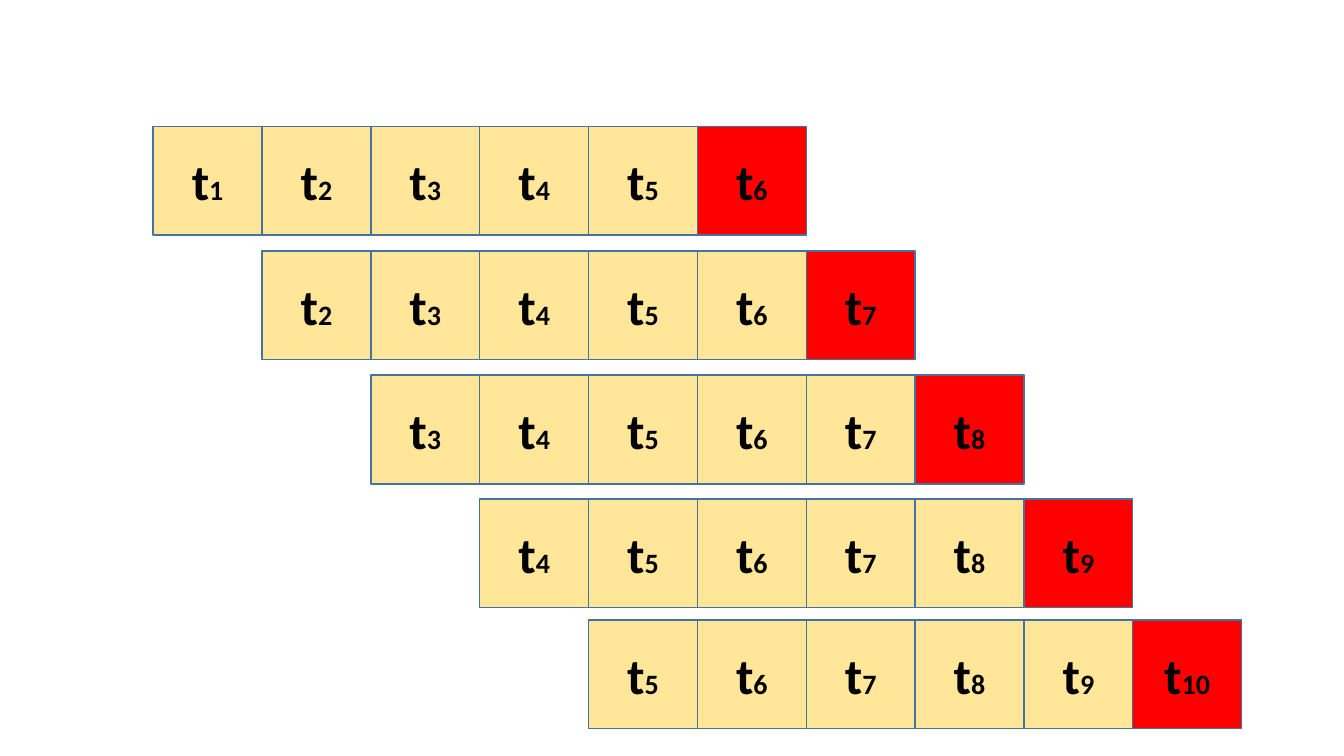
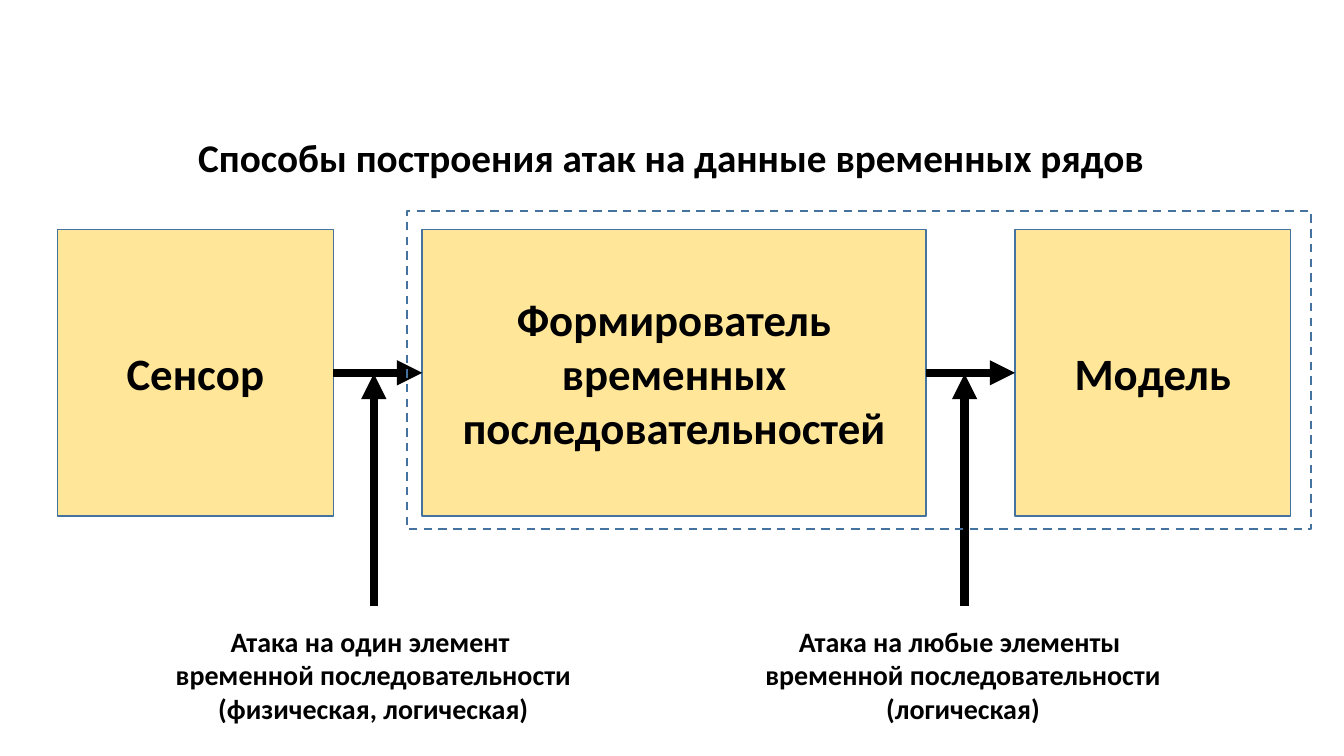
from pptx import Presentation
from pptx.dml.color import RGBColor
from pptx.enum.dml import MSO_LINE
from pptx.enum.shapes import MSO_CONNECTOR, MSO_SHAPE
from pptx.enum.text import MSO_ANCHOR, MSO_AUTO_SIZE, PP_ALIGN
from pptx.oxml.ns import qn
from pptx.util import Cm, Pt
from lxml.etree import SubElement

FONT = "Calibri"
COLORS = {"cell": "FFE699", "target": "FF0000", "outline": "43739E", "ink": "000000"}
TITLE_ONLY, BLANK = 5, 6
RIGHT_SIDE, LEFT_SIDE = 3, 1

# Sliding windows, in centimetres
WINDOW_TOPS = [3.18, 6.32, 9.45, 12.57, 15.62]
WINDOW_LEFT, CELL, WINDOW_LENGTH = 3.86, 2.743, 6

# Attack scheme, in centimetres
STAGE_TOP, STAGE_HEIGHT = 5.79, 7.21
ATTACK_START, ATTACK_END = 15.27, 9.42
CAPTION_TOP, CAPTION_WIDTH, CAPTION_HEIGHT = 15.6, 10.54, 2.82


def color(name):
    return RGBColor.from_string(COLORS[name])


def style_run(run, size):
    run.font.name = FONT
    run.font.size = Pt(size)
    run.font.bold = True
    run.font.color.rgb = color("ink")


def write(shape, text, size, anchor=MSO_ANCHOR.MIDDLE, wrap=True):
    """Centred bold text; a vertical tab breaks a line inside a paragraph."""
    frame = shape.text_frame
    frame.text = text
    frame.word_wrap = wrap
    frame.auto_size = MSO_AUTO_SIZE.NONE
    frame.vertical_anchor = anchor
    for paragraph in frame.paragraphs:
        paragraph.alignment = PP_ALIGN.CENTER
        for run in paragraph.runs:
            style_run(run, size)


def add_box(shapes, left, top, width, height, fill=None, line_width=1):
    box = shapes.add_shape(MSO_SHAPE.RECTANGLE, Cm(left), Cm(top), Cm(width), Cm(height))
    box.shadow.inherit = False
    if fill:
        box.fill.solid()
        box.fill.fore_color.rgb = color(fill)
    else:
        box.fill.background()
    box.line.color.rgb = color("outline")
    box.line.width = Pt(line_width)
    return box


def add_time_cell(shapes, left, top, step, fill):
    cell = add_box(shapes, left, top, CELL, CELL, fill)
    write(cell, "t", 36)
    index = cell.text_frame.paragraphs[0].add_run()
    index.text = str(step)
    style_run(index, 20)


def add_window(slide, first, top):
    """One window of consecutive steps; its last step is the target."""
    window = slide.shapes.add_group_shape()
    last = first + WINDOW_LENGTH - 1
    for step in range(first, last + 1):
        fill = "target" if step == last else "cell"
        add_time_cell(window.shapes, WINDOW_LEFT + (step - 1) * CELL, top, step, fill)


def add_stage(slide, text, left, width):
    stage = add_box(slide.shapes, left, STAGE_TOP, width, STAGE_HEIGHT, "cell")
    write(stage, text, 32)
    return stage


def add_arrow(slide, x1=0, y1=0, x2=0, y2=0):
    arrow = slide.shapes.add_connector(
        MSO_CONNECTOR.STRAIGHT, Cm(x1), Cm(y1), Cm(x2), Cm(y2))
    arrow.line.color.rgb = color("ink")
    arrow.line.width = Pt(6)
    properties = arrow.element.spPr
    SubElement(properties.find(qn("a:ln")), qn("a:tailEnd"), type="triangle")
    SubElement(properties, qn("a:effectLst"))
    return arrow


def join(slide, source, target):
    arrow = add_arrow(slide)
    arrow.begin_connect(source, RIGHT_SIDE)
    arrow.end_connect(target, LEFT_SIDE)


def add_attack(slide, arrow_x, caption_left, text):
    add_arrow(slide, arrow_x, ATTACK_START, arrow_x, ATTACK_END)
    caption = slide.shapes.add_textbox(
        Cm(caption_left), Cm(CAPTION_TOP), Cm(CAPTION_WIDTH), Cm(CAPTION_HEIGHT))
    write(caption, text, 20, MSO_ANCHOR.TOP, wrap=False)


def set_title(slide, text):
    title = slide.shapes.title
    title.left, title.top = Cm(4.6), Cm(3.23)
    title.width, title.height = Cm(24.61), Cm(1.45)
    write(title, text, 28, wrap=False)


def build_windows(prs):
    slide = prs.slides.add_slide(prs.slide_layouts[BLANK])
    for first, top in enumerate(WINDOW_TOPS, start=1):
        add_window(slide, first, top)


def build_attacks(prs):
    slide = prs.slides.add_slide(prs.slide_layouts[TITLE_ONLY])
    set_title(slide, "Способы построения атак на данные временных рядов")

    # Data flow
    sensor = add_stage(slide, "Сенсор", 1.45, 6.95)
    shaper = add_stage(slide, "Формирователь\nвременных последовательностей", 10.64, 12.7)
    model = add_stage(slide, "Модель", 25.58, 6.95)
    join(slide, sensor, shaper)
    join(slide, shaper, model)

    # Attack points
    add_attack(slide, 9.42, 4.14,
               "Атака на один элемент \vвременной последовательности\n(физическая, логическая)")
    add_attack(slide, 24.31, 19,
               "Атака на любые элементы \vвременной последовательности\n(логическая)")

    # Dashed border around the processing part
    border = add_box(slide.shapes, 10.26, 5.31, 22.78, 8.03, line_width=1.5)
    border.line.dash_style = MSO_LINE.DASH


def main():
    prs = Presentation()
    prs.slide_width, prs.slide_height = Cm(33.87), Cm(19.05)
    build_windows(prs)
    build_attacks(prs)
    prs.save("out.pptx")


if __name__ == "__main__":
    main()
